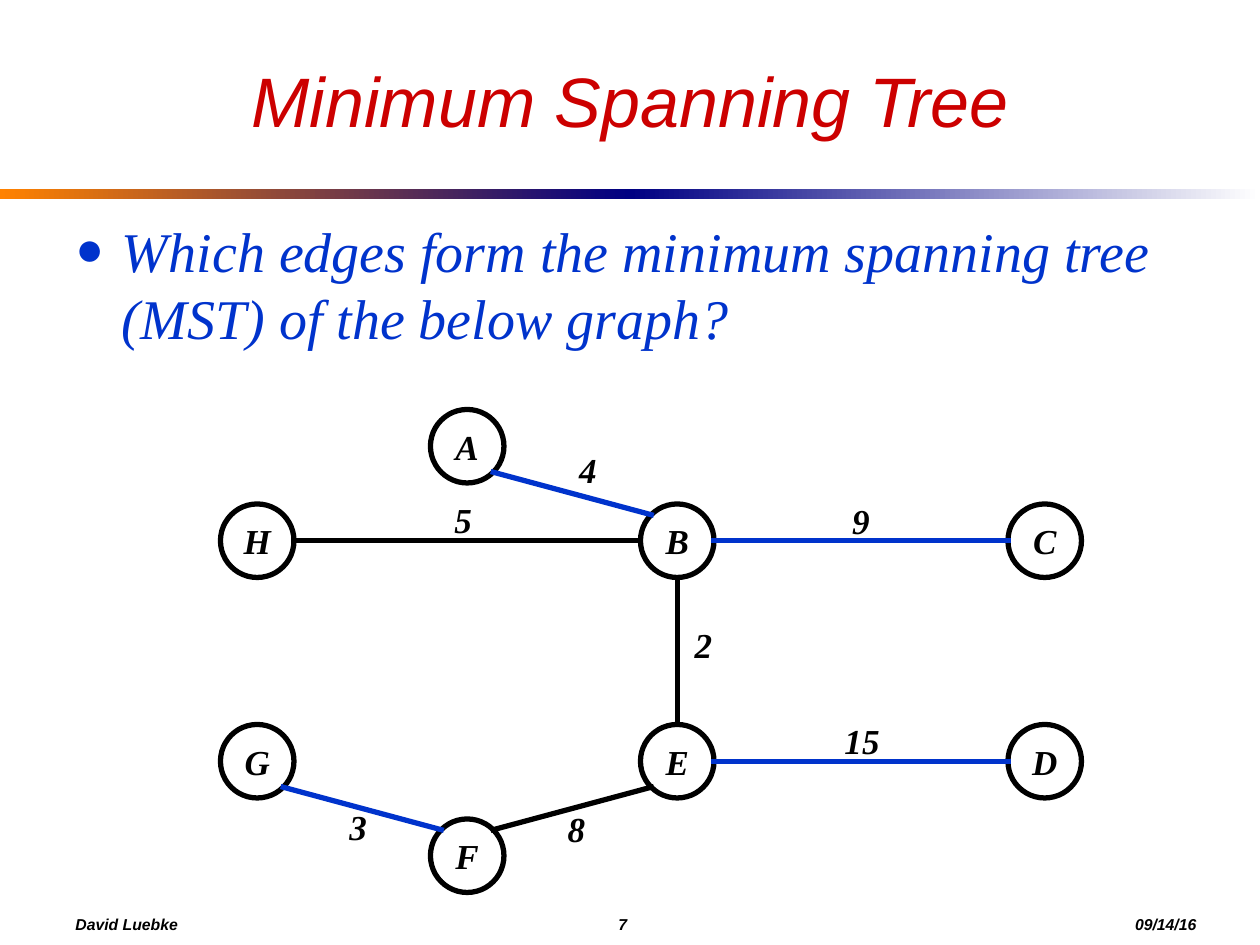
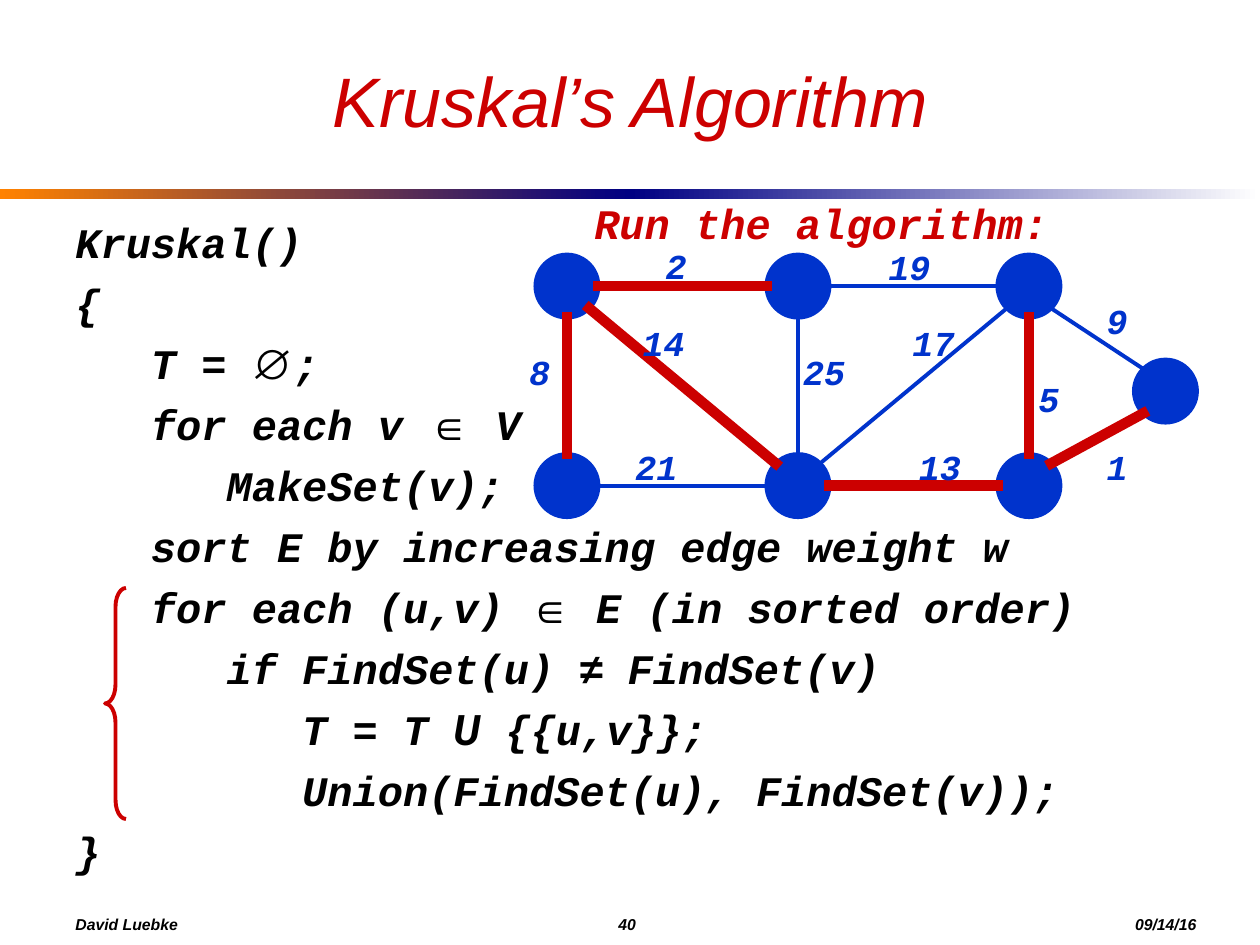
from math import atan2, cos, pi, sin

from lxml.etree import SubElement
from pptx import Presentation
from pptx.dml.color import RGBColor
from pptx.enum.shapes import MSO_CONNECTOR as Connector, MSO_SHAPE as Shape
from pptx.enum.text import MSO_ANCHOR as Anchor, MSO_AUTO_SIZE as AutoSize, PP_ALIGN as Align
from pptx.oxml.ns import qn
from pptx.util import Inches, Pt

# Shared style
BLACK, RED, BLUE = "000000", "CC0000", "0033CC"
NAVY, ORANGE, WHITE = "000082", "FF8200", "FFFFFF"
SANS, SERIF, MONO, UNION_FONT = "Arial", "Times New Roman", "Courier New", "Roboto"
COLUMNS, ROWS = 120, 90
TITLE_ONLY = 5


def color(hex_string):
    return RGBColor.from_string(hex_string)


class Deck:
    """Holds the style and the slide being built; places are grid columns and rows."""

    def __init__(self):
        self.presentation = Presentation()
        self.presentation.slide_width = Inches(10)
        self.presentation.slide_height = Inches(7.5)
        self.column = self.presentation.slide_width / COLUMNS
        self.row = self.presentation.slide_height / ROWS
        self.slide = None

    def box(self, left, top, width, height):
        return (round(left * self.column), round(top * self.row),
                round(width * self.column), round(height * self.row))

    def style(self, paragraph, size, font, ink, bold=True, align=Align.LEFT):
        paragraph.alignment = align
        paragraph.font.size = Pt(size)
        paragraph.font.name = font
        paragraph.font.bold = bold
        paragraph.font.italic = True
        paragraph.font.color.rgb = color(ink)

    def add_slide(self, title, number):
        layout = self.presentation.slide_layouts[TITLE_ONLY]
        self.slide = self.presentation.slides.add_slide(layout)
        heading = self.slide.shapes.title
        heading.left, heading.top, heading.width, heading.height = self.box(6, 3, 108, 13)
        frame = heading.text_frame
        frame.text = title
        frame.auto_size = AutoSize.NONE
        frame.vertical_anchor = Anchor.MIDDLE
        self.style(frame.paragraphs[0], 40, SANS, RED, bold=False, align=Align.CENTER)
        self.band(0, ORANGE, NAVY)
        self.band(COLUMNS / 2, NAVY, WHITE)
        self.footer(number)

    def shape(self, kind, place, line=None, width=1, fill=None):
        shape = self.slide.shapes.add_shape(kind, *self.box(*place))
        shape.shadow.inherit = False
        if fill:
            shape.fill.solid()
            shape.fill.fore_color.rgb = color(fill)
        else:
            shape.fill.background()
        if line:
            shape.line.color.rgb = color(line)
            shape.line.width = Pt(width)
        else:
            shape.line.fill.background()
        return shape

    def band(self, left, start, end):
        fill = self.shape(Shape.RECTANGLE, (left, 18, COLUMNS / 2, 1)).fill
        fill.gradient()
        fill.gradient_angle = 0
        for stop, ink in zip(fill.gradient_stops, (start, end)):
            stop.color.rgb = color(ink)

    def text_box(self, place):
        frame = self.slide.shapes.add_textbox(*self.box(*place)).text_frame
        frame.word_wrap = True
        return frame

    def footer(self, number):
        frame = self.text_box((6, 86, 112, 4))
        frame.vertical_anchor = Anchor.MIDDLE
        paragraph = frame.paragraphs[0]
        paragraph.text = f"David Luebke\t{number}\t09/14/16"
        tabs = SubElement(paragraph._p.get_or_add_pPr(), qn("a:tabLst"))
        for position in (4.31, 8.41):
            SubElement(tabs, qn("a:tab"), pos=str(Inches(position)), algn="l")
        self.style(paragraph, 9, SANS, BLACK)

    def bullet(self, text):
        paragraph = self.text_box((6, 20, 108, 57)).paragraphs[0]
        paragraph.text = text
        properties = paragraph._p.get_or_add_pPr()
        indent = Inches(0.37)
        properties.set("marL", str(indent))
        properties.set("indent", str(-indent))
        SubElement(SubElement(properties, qn("a:buClr")), qn("a:srgbClr"), val=BLUE)
        SubElement(properties, qn("a:buSzPct"), val="85000")
        SubElement(properties, qn("a:buFont"), typeface=SERIF)
        SubElement(properties, qn("a:buChar"), char="●")
        self.style(paragraph, 32, SERIF, BLUE, bold=False)

    def code(self, lines):
        """Each line is a tuple of pieces; every second piece is a symbol."""
        frame = self.text_box((6, 20, 108, 66))
        for index, pieces in enumerate(lines):
            paragraph = frame.add_paragraph() if index else frame.paragraphs[0]
            paragraph.space_before = Pt(6 if index else 0)
            self.style(paragraph, 24, MONO, BLACK)
            for position, piece in enumerate(pieces):
                run = paragraph.add_run()
                run.text = piece
                if position % 2:
                    run.font.name = UNION_FONT if piece == "U" else SANS

    def label(self, text, center, size, font, ink):
        """Centres one line of text; the box widens with the letters."""
        x, y = center
        width, height = 4 + 0.1 * size * len(text), 1.2 + 0.2 * size
        paragraph = self.text_box((x - width / 2, y - height / 2, width, height)).paragraphs[0]
        paragraph.text = text
        self.style(paragraph, size, font, ink, align=Align.CENTER)

    def node(self, corner, size, line, width, fill=None, name=""):
        frame = self.shape(Shape.OVAL, (*corner, size, size), line, width, fill).text_frame
        if name:
            frame.word_wrap = False
            frame.vertical_anchor = Anchor.MIDDLE
            frame.text = name
            self.style(frame.paragraphs[0], 20, SERIF, BLACK, align=Align.CENTER)

    def edge(self, start, end, size, ink, width):
        """Joins two nodes at the rim points nearest in steps of 45 degrees."""
        angle = atan2(end[1] - start[1], end[0] - start[0])
        angle = round(angle / (pi / 4)) * pi / 4
        radius = size / 2
        reach_x, reach_y = radius * cos(angle), radius * sin(angle)
        points = self.box(start[0] + radius + reach_x, start[1] + radius + reach_y,
                          end[0] + radius - reach_x, end[1] + radius - reach_y)
        line = self.slide.shapes.add_connector(Connector.STRAIGHT, *points)
        line.line.color.rgb = color(ink)
        line.line.width = Pt(width)
        properties = line._element.spPr
        properties.find(qn("a:ln")).set("cap", "sq")
        SubElement(properties, qn("a:effectLst"))

    def graph(self, nodes, edges, size, strokes, font, ink):
        """Edges are (from, to, weight, label centre, stroke name)."""
        for start, end, _, _, stroke in edges:
            self.edge(nodes[start], nodes[end], size, *strokes[stroke])
        for _, _, weight, center, _ in edges:
            self.label(str(weight), center, 20, font, ink)


def spanning_tree_slide(deck):
    deck.add_slide("Minimum Spanning Tree", 7)
    deck.bullet("Which edges form the minimum spanning tree (MST) of the below graph?")

    # Lettered graph
    size = 7
    nodes = {"H": (21, 48), "B": (61, 48), "C": (96, 48), "G": (21, 69),
             "E": (61, 69), "D": (96, 69), "F": (41, 78), "A": (41, 39)}
    for name, corner in nodes.items():
        deck.node(corner, size, BLACK, 3, name=name)
    edges = [
        ("A", "B", 4, (56, 44.7), "blue"),
        ("H", "B", 5, (44.1, 49.5), "black"),
        ("G", "F", 3, (34.1, 78.7), "blue"),
        ("F", "E", 8, (54.9, 78.9), "black"),
        ("E", "B", 2, (67, 61.4), "black"),
        ("B", "C", 9, (82, 49.6), "blue"),
        ("E", "D", 15, (82.1, 70.5), "blue"),
    ]
    strokes = {"blue": (BLUE, 3), "black": (BLACK, 3)}
    deck.graph(nodes, edges, size, strokes, SERIF, BLACK)


def kruskal_slide(deck):
    deck.add_slide("Kruskal’s Algorithm", 40)
    deck.code([
        ("Kruskal()",),
        ("{",),
        ("   T = ", "∅", ";"),
        ("   for each v ", "∈", " V"),
        ("      MakeSet(v);",),
        ("   sort E by increasing edge weight w",),
        ("   for each (u,v) ", "∈", " E (in sorted order)"),
        ("      if FindSet(u) ", "≠", " FindSet(v)"),
        ("         T = T ", "U", " {{u,v}};"),
        ("         Union(FindSet(u), FindSet(v));",),
        ("}",),
    ])

    # Weighted graph with the chosen edges in red
    size, top, bottom = 6, 24.25, 43.25
    lefts = {"left": 51, "middle": 73, "right": 95}
    nodes = {f"{row} {name}": (left, y)
             for row, y in (("top", top), ("bottom", bottom))
             for name, left in lefts.items()}
    nodes["far right"] = (108, 34.25)
    for corner in nodes.values():
        deck.node(corner, size, BLUE, 2.25, fill=BLUE)
    edges = [
        ("top left", "top middle", 2, (64.4, 25.3), "chosen"),
        ("top middle", "top right", 19, (86.6, 25.4), "plain"),
        ("top right", "bottom middle", 17, (88.9, 32.6), "plain"),
        ("bottom middle", "bottom left", 21, (62.5, 44.4), "plain"),
        ("bottom left", "top left", 8, (51.4, 35.4), "chosen"),
        ("top left", "bottom middle", 14, (63.2, 32.6), "chosen"),
        ("bottom middle", "top middle", 25, (78.5, 35.4), "plain"),
        ("bottom middle", "bottom right", 13, (89.5, 44.4), "chosen"),
        ("bottom right", "top right", 5, (99.9, 38), "chosen"),
        ("top right", "far right", 9, (106.4, 30.5), "plain"),
        ("bottom right", "far right", 1, (106.4, 44.4), "chosen"),
    ]
    strokes = {"chosen": (RED, 6), "plain": (BLUE, 2.25)}
    deck.graph(nodes, edges, size, strokes, MONO, BLUE)
    deck.label("Run the algorithm:", (78.2, 21.2), 24, MONO, RED)

    # Brace beside the main loop
    brace = deck.shape(Shape.LEFT_BRACE, (10, 56, 2, 22), RED, 2.25)
    brace.adjustments[0] = 0.9


def main():
    deck = Deck()
    spanning_tree_slide(deck)
    kruskal_slide(deck)
    deck.presentation.save("out.pptx")


if __name__ == "__main__":
    main()
